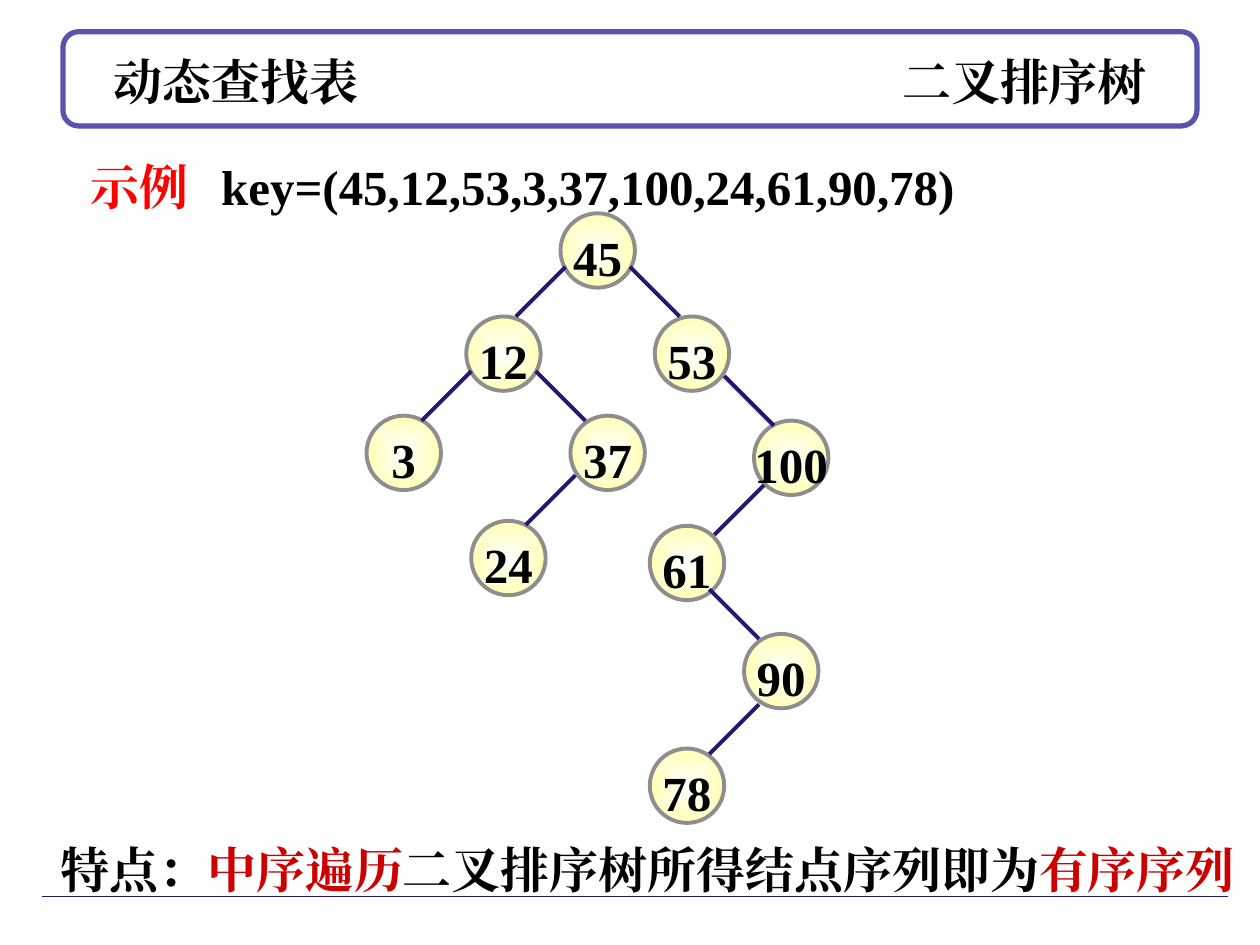
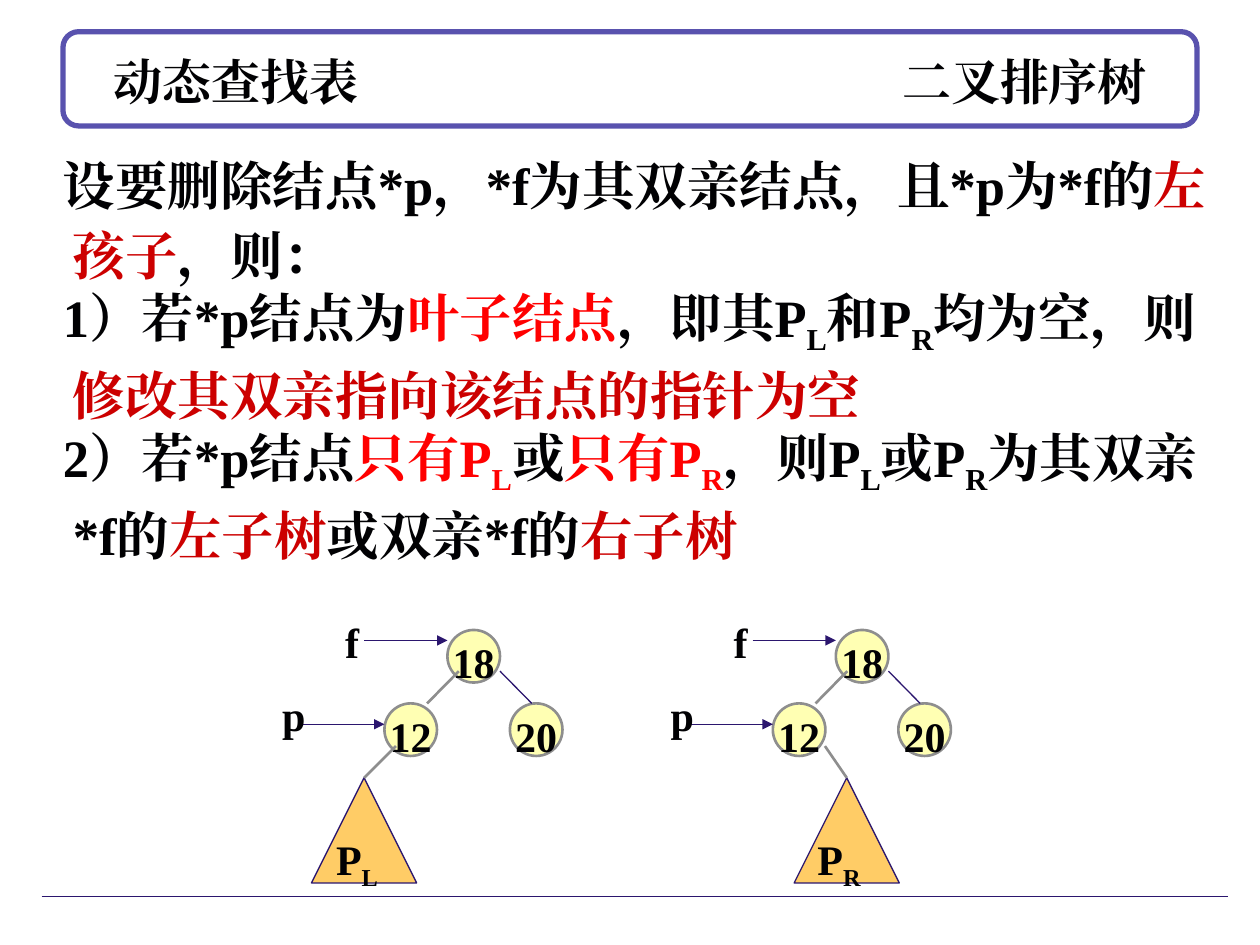
from lxml import etree
from pptx import Presentation
from pptx import util as u
from pptx.dml.color import RGBColor
from pptx.enum import lang, shapes, text
from pptx.oxml.ns import qn

Cm, Pt = u.Cm, u.Pt
COLORS = {
    "ink": "010103", "black": "000000", "red": "FF0000", "crimson": "CC0000",
    "white": "FFFFFF", "frame": "5952AE", "navy": "2B166E", "gray": "8E8E8E",
    "cream": "FFFFB3", "orange": "FFCC66",
}
SERIF = "Times New Roman"
CENTER = {"alignment": text.PP_ALIGN.CENTER, "line_spacing": 1.1}
RIGHT = {"alignment": text.PP_ALIGN.RIGHT, "line_spacing": 1.1}
LEFT = {"line_spacing": 1.1}
FIXED = {"line_spacing": Pt(40)}

# Binary search tree: key -> top left corner of its node, in cm
TREE_NODES = {
    "45": (11.3, 4.3), "12": (9.4, 6.38), "53": (13.2, 6.38),
    "3": (7.39, 8.38), "37": (11.5, 8.38), "100": (15.2, 8.48),
    "24": (9.5, 10.5), "61": (13.1, 10.6), "90": (15.0, 12.78),
    "78": (13.1, 15.09),
}
# Upper end of each branch; every branch runs 1 cm down and 1 cm sideways
LEFT_BRANCHES = [(11.4, 5.38), (9.5, 7.48), (11.6, 9.58), (15.4, 9.78), (15.3, 14.2)]
RIGHT_BRANCHES = [(12.7, 5.38), (14.6, 7.58), (10.8, 7.48), (14.3, 11.88)]

# Runs are (text, colour); "_" makes the next letter a subscript
DELETE_RULES = [
    [("设要删除结点*p，*f为其双亲结点，且*p为*f的", "ink"), ("左孩子", "crimson"),
     ("，则：", "ink")],
    [("1）若*p结点为", "ink"), ("叶子结点", "red"), ("，即其P_L和P_R均为空，则", "ink"),
     ("修改其双亲指向该结点的指针为空", "crimson")],
    [("2）若*p结点", "ink"), ("只有P_L", "red"), ("或", "ink"), ("只有P_R", "red"),
     ("，则P_L或P_R为其双亲*f的", "ink"), ("左子树", "crimson"),
     ("或双亲*f的", "ink"), ("右子树", "crimson")],
]


def rgb(name):
    return RGBColor.from_string(COLORS[name])


def add_run(paragraph, words, color, size, font=SERIF, subscript=False):
    run = paragraph.add_run()
    run.text = words
    style = {"size": Pt(size), "bold": True, "name": font,
             "language_id": lang.MSO_LANGUAGE_ID.SIMPLIFIED_CHINESE}
    for key, value in style.items():
        setattr(run.font, key, value)
    run.font.color.rgb = rgb(color)
    properties = run._r.get_or_add_rPr()
    east_asian = etree.SubElement(properties, qn("a:ea"))
    east_asian.set("typeface", SERIF)
    if subscript:
        properties.set("baseline", "-25000")


def write_runs(paragraph, runs, size, layout, font=SERIF):
    for key, value in layout.items():
        setattr(paragraph, key, value)
    for words, color in runs:
        first, *rest = words.split("_")
        add_run(paragraph, first, color, size, font)
        for part in rest:
            add_run(paragraph, part[0], color, size, font, subscript=True)
            if part[1:]:
                add_run(paragraph, part[1:], color, size, font)


def set_tab(paragraph, position, align):
    tabs = etree.SubElement(paragraph._p.get_or_add_pPr(), qn("a:tabLst"))
    etree.SubElement(tabs, qn("a:tab"), pos=str(Cm(position)), algn=align)


def add_text(parent, box, top_margin=0.25):
    frame = parent.add_textbox(*map(Cm, box)).text_frame
    frame.word_wrap = True
    frame.margin_top = Cm(top_margin)
    return frame


def add_line(parent, start, end, color="navy", width=0.75, arrow=False):
    line = parent.add_connector(shapes.MSO_CONNECTOR.STRAIGHT,
                                *map(Cm, (*start, *end)))
    line.line.color.rgb = rgb(color)
    line.line.width = Pt(width)
    if arrow:
        etree.SubElement(line.line._get_or_add_ln(), qn("a:tailEnd"), type="triangle")
    etree.SubElement(line._element.spPr, qn("a:effectLst"))


def add_outline(parent, kind, box, fill, border, width):
    shape = parent.add_shape(kind, *map(Cm, box))
    shape.shadow.inherit = False
    shape.fill.solid()
    shape.fill.fore_color.rgb = rgb(fill)
    shape.line.color.rgb = rgb(border)
    shape.line.width = Pt(width)
    return shape


def label_shape(shape, words, size, layout):
    frame = shape.text_frame
    frame.word_wrap = False
    frame.vertical_anchor = text.MSO_ANCHOR.MIDDLE
    frame.margin_top = Cm(0.25)
    write_runs(frame.paragraphs[0], [(words, "ink")], size, layout)


def add_node(parent, key, corner, diameter, size, width):
    node = add_outline(parent, shapes.MSO_SHAPE.OVAL,
                       (*corner, diameter, diameter), "cream", "gray", width)
    label_shape(node, key, size, CENTER)
    return node


def glow_from_center(node):
    node.fill.gradient()
    for stop, color in zip(node.fill.gradient_stops, ("white", "cream")):
        stop.color.rgb = rgb(color)
    gradient = node._element.spPr.find(qn("a:gradFill"))
    gradient.remove(gradient.find(qn("a:lin")))
    path = etree.SubElement(gradient, qn("a:path"), path="shape")
    etree.SubElement(path, qn("a:fillToRect"),
                     {side: "50000" for side in "ltrb"})


def add_page(deck):
    """Blank slide with the shared title band and footer rule."""
    page = deck.slides.add_slide(deck.slide_layouts[6]).shapes
    add_outline(page, shapes.MSO_SHAPE.ROUNDED_RECTANGLE,
                (1.27, 0.64, 22.86, 1.9), "white", "frame", 3)
    add_line(page, (0.84, 18.08), (24.76, 18.08))
    title = add_text(page, (1.27, 0.84, 22.86, 1.57), 0.13)
    title.margin_left = Cm(1.02)
    title.vertical_anchor = text.MSO_ANCHOR.MIDDLE
    set_tab(title.paragraphs[0], 20.83, "r")
    write_runs(title.paragraphs[0], [("动态查找表\t二叉排序树", "ink")], 28, {})
    return page


def add_subtree_example(page, shift, side, apex, branch_start):
    """Parent f, node p and the single subtree of p, moved right by shift."""
    group = page.add_group_shape().shapes

    def at(x, y):
        return round(x + shift, 2), y

    # Nodes and subtree
    for key, corner in {"18": (9.02, 12.7), "12": (7.75, 14.18),
                        "20": (10.28, 14.18)}.items():
        add_node(group, key, at(*corner), 1.06, 24, 1.5)
    subtree = add_outline(group, shapes.MSO_SHAPE.ISOSCELES_TRIANGLE,
                          (*at(apex - 1.06, 15.68), 2.12, 2.12),
                          "orange", "navy", 0.75)
    label_shape(subtree, f"P_{side}", 24, RIGHT)

    # Branches
    add_line(group, at(9.25, 13.53), at(8.61, 14.18), "gray", 1.5)
    add_line(group, at(branch_start, 15.04), at(apex, 15.68), "gray", 1.5)
    add_line(group, at(10.08, 13.53), at(10.72, 14.18))

    # Pointers
    for name, label, start in (("f", (6.71, 12.07), (7.34, 12.91)),
                               ("p", (5.44, 13.55), (6.07, 14.6))):
        add_line(group, at(*start), at(start[0] + 1.68, start[1]), arrow=True)
        pointer = add_text(group, (*at(*label), 0.84, 1.4))
        write_runs(pointer.paragraphs[0], [(name, "ink")], 24, LEFT)


def build_tree_page(deck):
    page = add_page(deck)
    for key, corner in TREE_NODES.items():
        glow_from_center(add_node(page, key, corner, 1.5, 28, 2.25))
    for step, branches in ((-1, LEFT_BRANCHES), (1, RIGHT_BRANCHES)):
        for x, y in branches:
            add_line(page, (x, y), (x + step, y + 1), width=2.25)

    # Key list above the tree
    example = add_text(page, (1.57, 2.79, 22.36, 1.7)).paragraphs[0]
    set_tab(example, 2.64, "l")
    write_runs(example, [("示例\t", "red"),
                         ("key=(45,12,53,3,37,100,24,61,90,78)", "ink")], 28, LEFT)

    # Property below the tree
    feature = add_text(page, (0.97, 16.56, 24.41, 1.57)).paragraphs[0]
    write_runs(feature, [("特点", "black"), ("：", "ink"), ("中序遍历", "crimson"),
                         ("二叉排序树所得结点序列即为", "ink"),
                         ("有序序列", "crimson")], 28, LEFT, "Lato")


def build_delete_page(deck):
    page = add_page(deck)
    rules = add_text(page, (1.02, 2.82, 23.7, 8.92), 0.13)
    for number, runs in enumerate(DELETE_RULES):
        rule = rules.add_paragraph() if number else rules.paragraphs[0]
        hanging = rule._p.get_or_add_pPr()
        hanging.set("marL", str(Cm(0.2)))
        hanging.set("indent", str(-Cm(0.2)))
        write_runs(rule, runs, 30, FIXED)

    add_subtree_example(page, 0, "L", 7.34, 7.98)
    add_subtree_example(page, 7.83, "R", 9.24, 8.8)


def main():
    deck = Presentation()
    deck.slide_width, deck.slide_height = Cm(25.4), Cm(19.05)
    build_tree_page(deck)
    build_delete_page(deck)
    deck.save("out.pptx")


if __name__ == "__main__":
    main()
